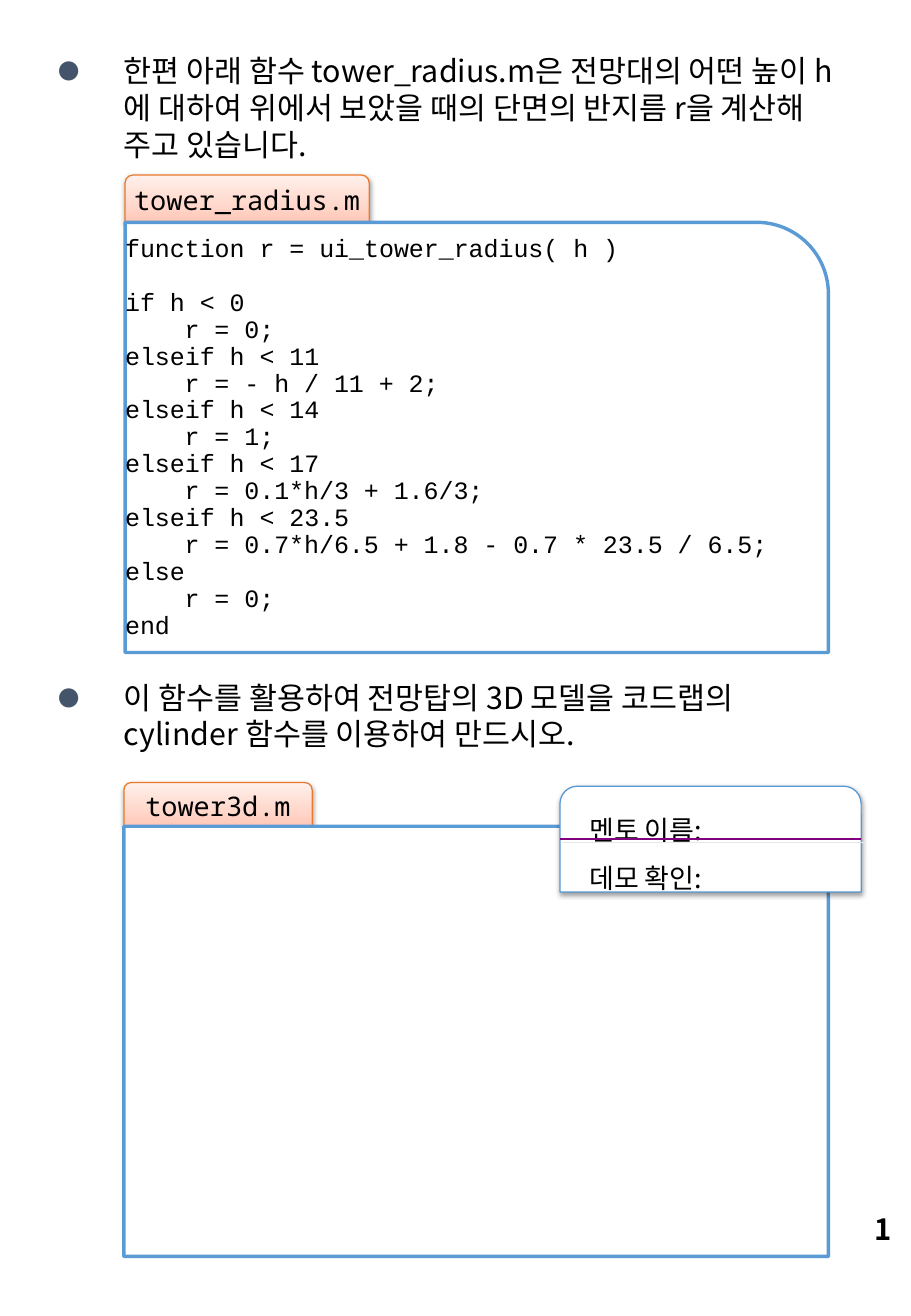
from lxml import etree
from pptx import Presentation
from pptx.dml.color import RGBColor
from pptx.enum.shapes import MSO_CONNECTOR as CONNECTOR, MSO_SHAPE as SHAPE
from pptx.enum.text import MSO_ANCHOR as ANCHOR, MSO_AUTO_SIZE as AUTO_SIZE, PP_ALIGN as ALIGN
from pptx.oxml.ns import qn
from pptx.util import Inches, Pt

KOREAN = "Noto Sans CJK KR"
TAB_FONT = "Noto Sans Mono"
CODE_FONT = "Courier New"
BLUE = "5B9BD5"
TAB_STOPS = [(0, "FFC7B6"), (35, "FFD7CB"), (100, "FFF0EB")]
SOFT_SHADOW = {"color": "000000", "alpha": 38, "blur": 3.1, "distance": 1.6, "angle": 90}
LINE_SHADOW = {"color": "E7E6E6", "alpha": 100, "blur": 0, "distance": 2.8, "angle": 45}
INSTRUCTIONS = [
    ("한편 아래 함수 tower_radius.m은 전망대의 어떤 높이 h에 대하여 "
     "위에서 보았을 때의 단면의 반지름 r을 계산해 주고 있습니다.", 0),
    ("이 함수를 활용하여 전망탑의 3D 모델을 코드랩의 "
     "cylinder 함수를 이용하여 만드시오.", 306),
]
BRANCHES = [
    ("if h < 0", "r = 0;"),
    ("elseif h < 11", "r = - h / 11 + 2;"),
    ("elseif h < 14", "r = 1;"),
    ("elseif h < 17", "r = 0.1*h/3 + 1.6/3;"),
    ("elseif h < 23.5", "r = 0.7*h/6.5 + 1.8 - 0.7 * 23.5 / 6.5;"),
    ("else", "r = 0;"),
]


def rgb(color):
    return RGBColor.from_string(color)


def add_xml(parent, tag, **attributes):
    values = {name: str(value) for name, value in attributes.items()}
    return etree.SubElement(parent, qn(tag), values)


def apply_format(target, values):
    for name, value in values.items():
        setattr(target, name, value)


def place(shape, box):
    names = ("left", "top", "width", "height")
    apply_format(shape, {name: Inches(value) for name, value in zip(names, box)})


def set_frame(frame, insets=(0, 0, 0, 0), anchor=ANCHOR.MIDDLE):
    left, top, right, bottom = (Inches(value) for value in insets)
    apply_format(frame, {
        "word_wrap": True, "auto_size": AUTO_SIZE.NONE, "vertical_anchor": anchor,
        "margin_left": left, "margin_top": top,
        "margin_right": right, "margin_bottom": bottom,
    })


def style_font(font, name, size, bold=False):
    apply_format(font, {"name": name, "size": Pt(size), "bold": bold})
    font.color.rgb = rgb("000000")


def write(frame, index, text, name, size, **layout):
    paragraph = frame.paragraphs[0] if index == 0 else frame.add_paragraph()
    apply_format(paragraph, {"alignment": ALIGN.LEFT, **layout})
    run = paragraph.add_run()
    run.text = text
    style_font(run.font, name, size)
    add_xml(run.font._element, "a:ea", typeface=name)
    return paragraph


def indent(paragraph, margin, first_line=0):
    properties = paragraph._p.get_or_add_pPr()
    properties.set("marL", str(Inches(margin)))
    properties.set("indent", str(Inches(first_line)))
    return properties


def add_shadow(shape, color, alpha, blur, distance, angle):
    properties = shape._element.spPr
    effects = properties.find(qn("a:effectLst"))
    if effects is None:
        effects = add_xml(properties, "a:effectLst")
    shadow = add_xml(effects, "a:outerShdw", blurRad=Pt(blur), dist=Pt(distance),
                     dir=angle * 60000, algn="ctr", rotWithShape=0)
    tint = add_xml(shadow, "a:srgbClr", val=color)
    add_xml(tint, "a:alpha", val=alpha * 1000)


def set_line(line, color, width):
    line.color.rgb = rgb(color)
    line.width = Pt(width)


def add_panel(shapes, kind, box, line_color, line_width):
    shape = shapes.add_shape(kind, *(Inches(value) for value in box))
    shape.fill.solid()
    shape.fill.fore_color.rgb = rgb("FFFFFF")
    set_line(shape.line, line_color, line_width)
    shape.shadow.inherit = False
    set_frame(shape.text_frame)
    return shape


def fill_tab(shape):
    shape.fill.gradient()
    gradient = shape._element.spPr.find(qn("a:gradFill"))
    for child in list(gradient):
        gradient.remove(child)
    stops = add_xml(gradient, "a:gsLst")
    for position, color in TAB_STOPS:
        stop = add_xml(stops, "a:gs", pos=position * 1000)
        add_xml(stop, "a:srgbClr", val=color)
    add_xml(gradient, "a:lin", ang=270 * 60000, scaled=0)


def add_file_panel(slide, file_name, tab_box, panel_box):
    shapes = slide.shapes.add_group_shape().shapes
    tab = add_panel(shapes, SHAPE.ROUND_2_SAME_RECTANGLE, tab_box, "EC792B", 0.75)
    fill_tab(tab)
    add_shadow(tab, **SOFT_SHADOW)
    write(tab.text_frame, 0, file_name, TAB_FONT, 16, alignment=ALIGN.CENTER)
    return add_panel(shapes, SHAPE.ROUND_1_RECTANGLE, panel_box, BLUE, 2)


def write_code(frame):
    lines = [("function r = ui_tower_radius( h )", 0)]
    for condition, result in BRANCHES:
        lines += [(condition, 0), (result, 0.49)]
    lines.append(("end", 0))
    for index, (text, margin) in enumerate(lines):
        gap = Pt(16) if index == 1 else Pt(0)
        paragraph = write(frame, index, text, CODE_FONT, 14.8,
                          line_spacing=Pt(15.96), space_before=gap)
        indent(paragraph, margin)


def write_instructions(placeholder):
    place(placeholder, (0.38, 0.38, 6.75, 10))
    frame = placeholder.text_frame
    set_frame(frame, (0.1, 0.05, 0.15, 0.05), ANCHOR.TOP)
    for index, (text, gap) in enumerate(INSTRUCTIONS):
        paragraph = write(frame, index, text, KOREAN, 18,
                          line_spacing=Pt(21.7), space_before=Pt(gap))
        properties = indent(paragraph, 0.54, -0.54)
        add_xml(add_xml(properties, "a:buClr"), "a:srgbClr", val="44546A")
        add_xml(properties, "a:buSzPct", val=70000)
        add_xml(properties, "a:buFont", typeface=KOREAN)
        add_xml(properties, "a:buChar", char="●")


def add_page_number(slide):
    box = slide.shapes.add_textbox(*(Inches(value) for value in (5.69, 9.89, 1.75, 0.44)))
    set_frame(box.text_frame, (0.1, 0.05, 0.1, 0.05))
    paragraph = write(box.text_frame, 0, "2", KOREAN, 17.3, alignment=ALIGN.RIGHT)
    run = paragraph.runs[0]
    run.font.bold = True
    field = add_xml(paragraph._p, "a:fld", type="slidenum",
                    id="{B6F15528-21DE-4FAA-801E-634DDDAF4B2B}")
    for child in list(run._r):
        field.append(child)
    paragraph._p.remove(run._r)


def add_check_card(slide):
    left, top, width, height = 4.61, 6.47, 2.48, 0.87
    card = add_panel(slide.shapes, SHAPE.ROUND_2_SAME_RECTANGLE,
                     (left, top, width, height), "5698D3", 0.75)
    add_shadow(card, **SOFT_SHADOW)
    set_frame(card.text_frame, (0.2, 0.07, 0, 0))
    for index, text in enumerate(("멘토 이름:", "데모 확인:")):
        write(card.text_frame, index, text, KOREAN, 16, line_spacing=Pt(28.4))
    middle = Inches(top + height / 2)
    divider = slide.shapes.add_connector(CONNECTOR.STRAIGHT, Inches(left), middle,
                                         Inches(left + width), middle)
    set_line(divider.line, "800080", 0.75)
    add_shadow(divider, **LINE_SHADOW)


def main():
    presentation = Presentation()
    presentation.slide_width = Inches(7.5)
    presentation.slide_height = Inches(10.83)
    slide = presentation.slides.add_slide(presentation.slide_layouts[1])
    title = slide.shapes.title._element
    title.getparent().remove(title)
    write_instructions(slide.placeholders[1])
    add_page_number(slide)
    code_panel = add_file_panel(slide, "tower_radius.m",
                                (1.03, 1.44, 2.01, 0.39), (1.03, 1.83, 5.79, 3.54))
    write_code(code_panel.text_frame)
    add_file_panel(slide, "tower3d.m",
                   (1.02, 6.44, 1.55, 0.36), (1.02, 6.8, 5.8, 3.54))
    add_check_card(slide)
    presentation.save("out.pptx")


if __name__ == "__main__":
    main()
